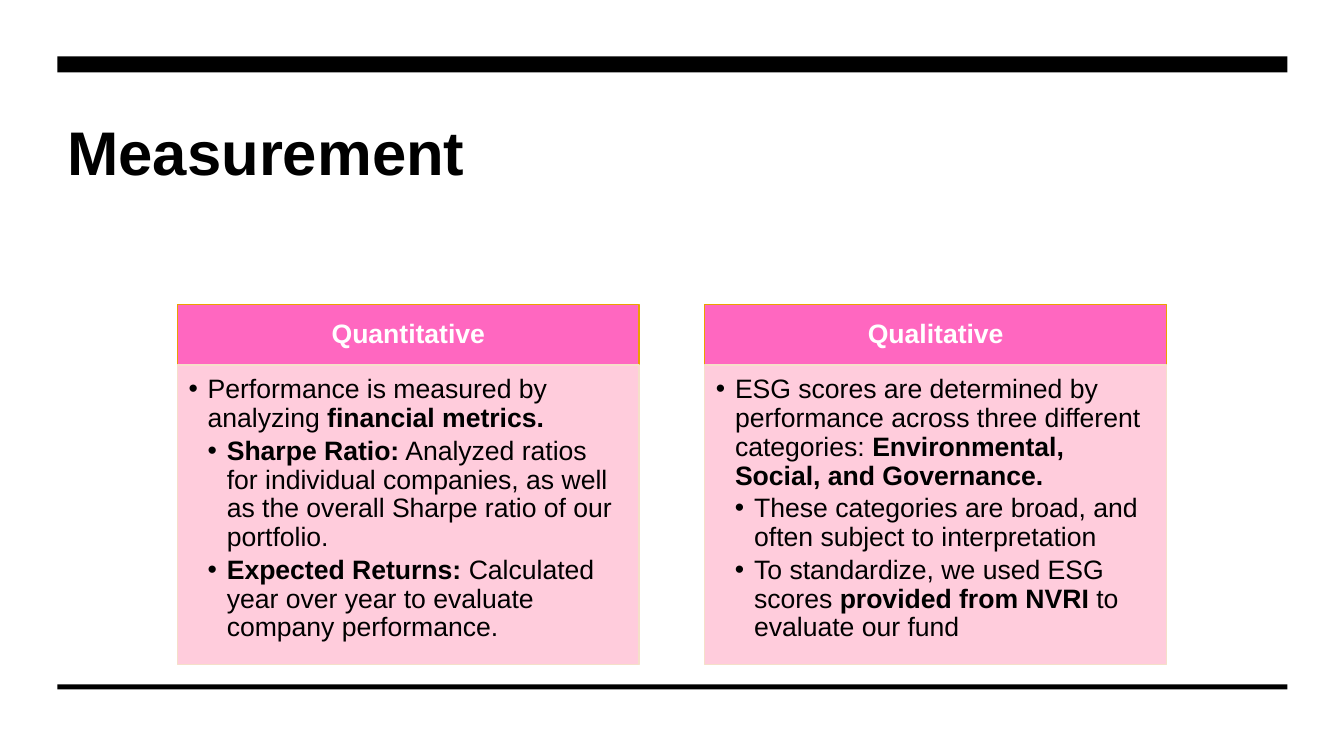
from lxml.etree import SubElement
from pptx import Presentation
from pptx.dml.color import RGBColor
from pptx.enum.shapes import MSO_SHAPE as Shape
from pptx.enum.text import MSO_ANCHOR as Anchor, PP_ALIGN as Align
from pptx.oxml.ns import qn
from pptx.util import Inches, Pt

COLORS = {
    "black": "000000",
    "white": "FFFFFF",
    "header": "FF67C0",
    "header line": "EBA000",
    "body": "FFCCDC",
    "body line": "F5DFC9",
}

# Each bullet is a level followed by (text, bold) spans.
COLUMNS = [
    ("Quantitative", [
        (0, [("Performance is measured by analyzing ", False),
             ("financial metrics.", True)]),
        (1, [("Sharpe Ratio:", True),
             (" Analyzed ratios for individual companies, as well as the "
              "overall Sharpe ratio of our portfolio.", False)]),
        (1, [("Expected Returns:", True),
             (" Calculated year over year to evaluate company performance.", False)]),
    ]),
    ("Qualitative", [
        (0, [("ESG scores are determined by performance across three different "
              "categories: ", False),
             ("Environmental, Social, and Governance.", True)]),
        (1, [("These categories are broad, and often subject to interpretation", False)]),
        (1, [("To standardize, we used ESG scores ", False),
             ("provided from NVRI", True),
             (" to evaluate our fund", False)]),
    ]),
]

MARGIN, CONTENT_WIDTH = 0.57, 12.2
COLUMN_LEFT, COLUMN_STEP, COLUMN_WIDTH = 1.76, 5.23, 4.58
HEADER_TOP, HEADER_HEIGHT, BODY_HEIGHT = 3.02, 0.6, 2.97
INDENT = 0.19


def add_panel(left, top, width, height, fill, line=None, insets=(0.1, 0.05, 0.1, 0.05)):
    """Add a flat rectangle; insets run left, top, right, bottom in inches."""
    panel = page.shapes.add_shape(
        Shape.RECTANGLE, Inches(left), Inches(top), Inches(width), Inches(height))
    panel.shadow.inherit = False
    panel.fill.solid()
    panel.fill.fore_color.rgb = RGBColor.from_string(COLORS[fill])
    if line:
        panel.line.color.rgb = RGBColor.from_string(COLORS[line])
        panel.line.width = Pt(1)
    else:
        panel.line.fill.background()
    frame = panel.text_frame
    frame.word_wrap = True
    (frame.margin_left, frame.margin_top,
     frame.margin_right, frame.margin_bottom) = map(Inches, insets)
    return panel


def style_font(font, size, color, bold):
    font.name = "Arial"
    font.size = Pt(size)
    font.bold = bold
    font.color.rgb = RGBColor.from_string(COLORS[color])


deck = Presentation()
deck.slide_width, deck.slide_height = Inches(13.33), Inches(7.5)
page = deck.slides.add_slide(deck.slide_layouts[6])
page.background.fill.solid()
page.background.fill.fore_color.rgb = RGBColor.from_string(COLORS["white"])

# Title between the top bar and the columns
title = page.shapes.add_textbox(
    Inches(MARGIN), Inches(1.07), Inches(CONTENT_WIDTH), Inches(0.85))
title.text_frame.word_wrap = True
title.text_frame.vertical_anchor = Anchor.MIDDLE
title.text_frame.text = "Measurement"
style_font(title.text_frame.paragraphs[0].runs[0].font, 44, "black", True)

# Thick bar at the top, thin bar at the bottom
for bar_top, bar_height in ((0.56, 0.16), (6.79, 0.05)):
    add_panel(MARGIN, bar_top, CONTENT_WIDTH, bar_height, "black")

for number, (heading, bullets) in enumerate(COLUMNS):
    left = COLUMN_LEFT + number * COLUMN_STEP

    header = add_panel(left, HEADER_TOP, COLUMN_WIDTH, HEADER_HEIGHT,
                       "header", "header line", (0.15, 0.08, 0.15, 0.08))
    header.text_frame.vertical_anchor = Anchor.MIDDLE
    header.text_frame.text = heading
    para = header.text_frame.paragraphs[0]
    para.alignment = Align.CENTER
    para.line_spacing = 0.9
    style_font(para.runs[0].font, 19, "white", True)

    body = add_panel(left, HEADER_TOP + HEADER_HEIGHT, COLUMN_WIDTH, BODY_HEIGHT,
                     "body", "body line", (0.11, 0.11, 0.15, 0.17))
    frame = body.text_frame
    frame.vertical_anchor = Anchor.TOP
    for position, (level, spans) in enumerate(bullets):
        para = frame.add_paragraph() if position else frame.paragraphs[0]
        para.alignment = Align.LEFT
        para.level = level
        para.line_spacing = 0.9
        para.space_before = Pt(2.9 if position else 0)
        properties = para._p.get_or_add_pPr()
        properties.set("marL", str(Inches(INDENT * (level + 1))))
        properties.set("indent", str(-Inches(INDENT)))
        bullet_color = SubElement(properties, qn("a:buClr"))
        SubElement(bullet_color, qn("a:srgbClr"), val=COLORS["black"])
        SubElement(properties, qn("a:buFont"), typeface="Arial")
        SubElement(properties, qn("a:buChar"), char="•")
        for text, bold in spans:
            span = para.add_run()
            span.text = text
            style_font(span.font, 19, "black", bold)

deck.save("out.pptx")
